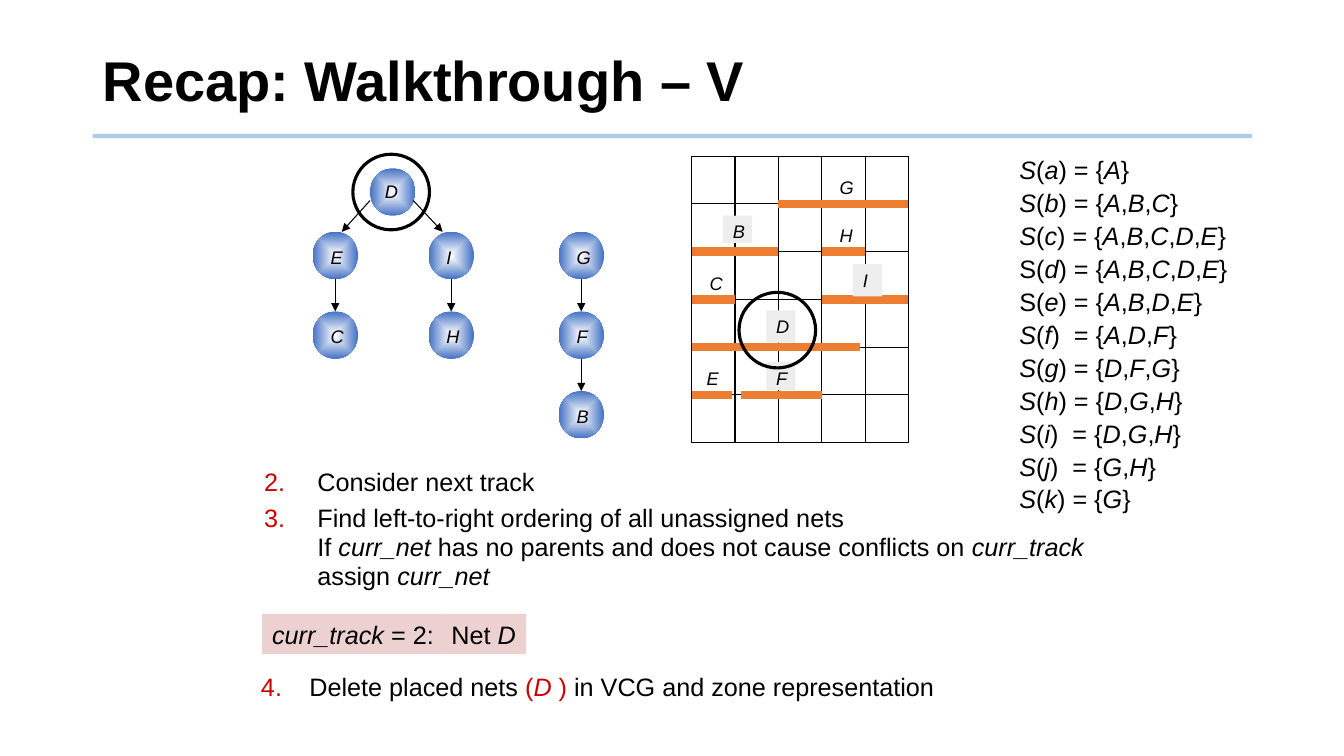
from lxml.etree import SubElement
from pptx import Presentation
from pptx.dml.color import RGBColor
from pptx.enum.shapes import MSO_CONNECTOR, MSO_SHAPE
from pptx.enum.text import MSO_ANCHOR
from pptx.oxml.ns import qn
from pptx.util import Inches, Pt

CELLS_PER_INCH = 10
BLACK, WHITE, RED, BLUE = "000000", "FFFFFF", "CC0000", "4472C4"
ORANGE, GREY, PINK, RULE = "ED7D31", "EDEDED", "EDD1D1", "5B9BD5"


def color(value):
    return RGBColor.from_string(value)


def cells(*counts):
    return [Inches(count / CELLS_PER_INCH) for count in counts]


def child(parent, tag, **attributes):
    return SubElement(parent, qn(tag), attributes)


class GridSlide:
    font_name = "Arial"
    body_size = 18
    label_size = 13

    def __init__(self, presentation):
        self.slide = presentation.slides.add_slide(presentation.slide_layouts[6])
        self.shapes = self.slide.shapes

    def shape(self, kind, box, fill=None, outline=None, weight=0.75):
        shape = self.shapes.add_shape(kind, *cells(*box))
        shape.shadow.inherit = False
        if fill:
            shape.fill.solid()
            shape.fill.fore_color.rgb = color(fill)
        else:
            shape.fill.background()
        if outline:
            shape.line.color.rgb = color(outline)
            shape.line.width = Pt(weight)
        else:
            shape.line.fill.background()
        return shape

    def ring(self, box):
        self.shape(MSO_SHAPE.OVAL, box, outline=BLACK, weight=2.25)

    def line(self, start, end, stroke=BLACK, weight=0.75, arrow=False, alpha=None):
        connector = self.shapes.add_connector(
            MSO_CONNECTOR.STRAIGHT, *cells(*start, *end))
        connector.line.color.rgb = color(stroke)
        connector.line.width = Pt(weight)
        properties = connector._element.spPr
        outline = properties.find(qn("a:ln"))
        if alpha:
            child(next(outline.iter(qn("a:srgbClr"))), "a:alpha", val=str(alpha * 1000))
        if arrow:
            child(outline, "a:tailEnd", type="triangle")
        child(properties, "a:effectLst")
        return connector

    def text(self, box, paragraphs, size=None, fill=None, bold=False, wrap=True,
             anchor=MSO_ANCHOR.TOP, insets=(1, 0.5, 1, 0.5), spacing=None,
             before=0, first_number=None, hanging=0):
        if fill:
            shape = self.shape(MSO_SHAPE.RECTANGLE, box, fill)
        else:
            shape = self.shapes.add_textbox(*cells(*box))
        frame = shape.text_frame
        frame.word_wrap = wrap
        frame.vertical_anchor = anchor
        (frame.margin_left, frame.margin_top,
         frame.margin_right, frame.margin_bottom) = cells(*insets)
        for index, content in enumerate(paragraphs):
            paragraph = frame.paragraphs[0] if index == 0 else frame.add_paragraph()
            if first_number:
                self.number(paragraph, first_number + index, hanging)
            paragraph.alignment = 1
            if spacing:
                paragraph.line_spacing = spacing
            if index and before:
                paragraph.space_before = Pt(before)
            self.runs(paragraph, content, size or self.body_size, bold)

    def number(self, paragraph, value, hanging):
        properties = paragraph._p.get_or_add_pPr()
        indent = cells(hanging)[0]
        properties.set("marL", str(indent))
        properties.set("indent", str(-indent))
        child(child(properties, "a:buClr"), "a:srgbClr", val=RED)
        child(properties, "a:buAutoNum", type="arabicPeriod", startAt=str(value))

    def runs(self, paragraph, content, size, bold):
        for line_index, line in enumerate(content.split("\n")):
            if line_index:
                paragraph.add_line_break()
            for red, part in enumerate(line.split("^")):
                for italic, piece in enumerate(part.split("*")):
                    if piece:
                        run = paragraph.add_run()
                        run.text = piece
                        run.font.name = self.font_name
                        run.font.size = Pt(size)
                        run.font.bold = bold
                        run.font.italic = italic % 2 == 1
                        run.font.color.rgb = color(RED if red % 2 else BLACK)

    def label(self, box, letter, fill=None, top_inset=0.5):
        self.text(box, [f"*{letter}*"], self.label_size, fill,
                  insets=(1, top_inset, 1, 0))

    def node(self, letter, left, top, shift=(0.8, 0.9)):
        ball = self.shape(MSO_SHAPE.OVAL, (left, top, 4.5, 4.7))
        ball.fill.gradient()
        for stop, position, value in zip(ball.fill.gradient_stops, (0, 1), (WHITE, BLUE)):
            stop.position = position
            stop.color.rgb = color(value)
        gradient = ball._element.spPr.find(qn("a:gradFill"))
        gradient.remove(gradient.find(qn("a:lin")))
        focus = child(gradient, "a:path", path="shape")
        child(focus, "a:fillToRect", l="50000", t="50000", r="50000", b="50000")
        self.label((left + shift[0], top + shift[1], 4.3, 3.2), letter)


def draw_constraint_graph(page):
    node_top, node_step, node_height = 23, 7.9, 4.7
    for left, chain in ((31, "EC"), (42.5, "IH"), (55.4, "GFB")):
        for depth, letter in enumerate(chain):
            top = node_top + depth * node_step
            page.node(letter, left, top)
            if depth:
                middle = left + 2.25
                page.line((middle, top - node_step + node_height), (middle, top), arrow=True)
    page.node("D", 36.7, 16.7, shift=(0.5, 0.7))
    page.line((36.7, 19.9), (33.9, 23), arrow=True)
    page.line((41, 19.9), (43.9, 23), arrow=True)
    page.ring((35, 15.3, 7.6, 7.5))


def draw_zones(page):
    left, top, width, height = 68.6, 15.5, 21.5, 28.4
    columns, tracks = 5, 6
    frame = page.shape(MSO_SHAPE.RECTANGLE, (left, top, width, height), outline=BLACK)

    def point(column, track):
        return left + column * width / columns, top + track * height / tracks

    for column in range(1, columns):
        page.line(point(column, 0), point(column, tracks))
    for track in range(1, tracks):
        line = page.line(point(0, track), point(columns, track))
        if track * 2 == tracks:
            line.begin_connect(frame, 1)
            line.end_connect(frame, 3)

    for track, start, end in ((1, 2, 5), (2, 0, 2), (2, 3, 4), (3, 0, 1), (3, 3, 5),
                              (4, 0, 3.88), (5, 0, 0.93), (5, 1.14, 3)):
        page.line(point(start, track), point(end, track), ORANGE, 6)
    for letter, x, y in (("G", 82.3, 17), ("H", 82.3, 21.8), ("C", 69.4, 26.5),
                         ("E", 69.1, 35.9)):
        page.label((x, y, 2.9, 3.2), letter)
    for letter, x, y, tall, inset in (("I", 84.6, 26.2, 3.2, 0.5), ("D", 76, 30.8, 3.2, 0.5),
                                      ("F", 76, 35.9, 2.8, 0.5), ("B", 71.7, 21.4, 2.7, 0.5)):
        page.label((x, y, 2.9, tall), letter, GREY, inset)
    page.ring((73.3, 29, 7.6, 7.5))


def main():
    presentation = Presentation()
    presentation.slide_width, presentation.slide_height = Inches(13.33), Inches(7.5)
    page = GridSlide(presentation)

    page.line((9.2, 13.5), (124.2, 13.5), RULE, 3, alpha=50)
    page.text((9.2, 2.8, 115, 11), ["Recap: Walkthrough – V"], 40, bold=True,
              anchor=MSO_ANCHOR.MIDDLE, spacing=0.9)
    draw_constraint_graph(page)
    draw_zones(page)

    page.text((99, 14.6, 25.2, 37.1), [
        "*S*(*a*) = {*A*}",
        "*S*(*b*) = {*A*,*B*,*C*}",
        "*S*(*c*) = {*A*,*B*,*C*,*D*,*E*}",
        "S(*d*) = {*A*,*B*,*C*,*D*,*E*}",
        "S(*e*) = {*A*,*B*,*D*,*E*}",
        "*S*(*f*)  = {*A*,*D*,*F*}",
        "*S*(*g*) = {*D*,*F*,*G*}",
        "*S*(*h*) = {*D*,*G*,*H*}",
        "*S*(*i*)  = {*D*,*G*,*H*}",
        "*S*(*j*)  = {*G*,*H*}",
        "*S*(*k*) = {*G*}",
    ], insets=(2.1, 0.5, 1, 0.7), spacing=Pt(23.5))

    page.text((25.2, 46, 86.5, 13.4), [
        "Consider next track",
        "Find left-to-right ordering of all unassigned nets\n"
        "If *curr_net *has no parents and does not cause conflicts on *curr_track*\n"
        "assign *curr_net*",
    ], spacing=0.95, before=5.4, first_number=2, hanging=5.3)
    page.text((26, 60.9, 18.1, 4), ["*curr_track* = 2:"], fill=PINK, wrap=False)
    page.text((43.8, 60.9, 8.4, 4), ["Net *D*"], fill=PINK, wrap=False)
    page.text((24.9, 66.6, 86.8, 3.5),
              ["Delete placed nets ^(*D *)^ in VCG and zone representation"],
              spacing=0.85, first_number=4, hanging=4.8)

    presentation.save("out.pptx")


if __name__ == "__main__":
    main()
